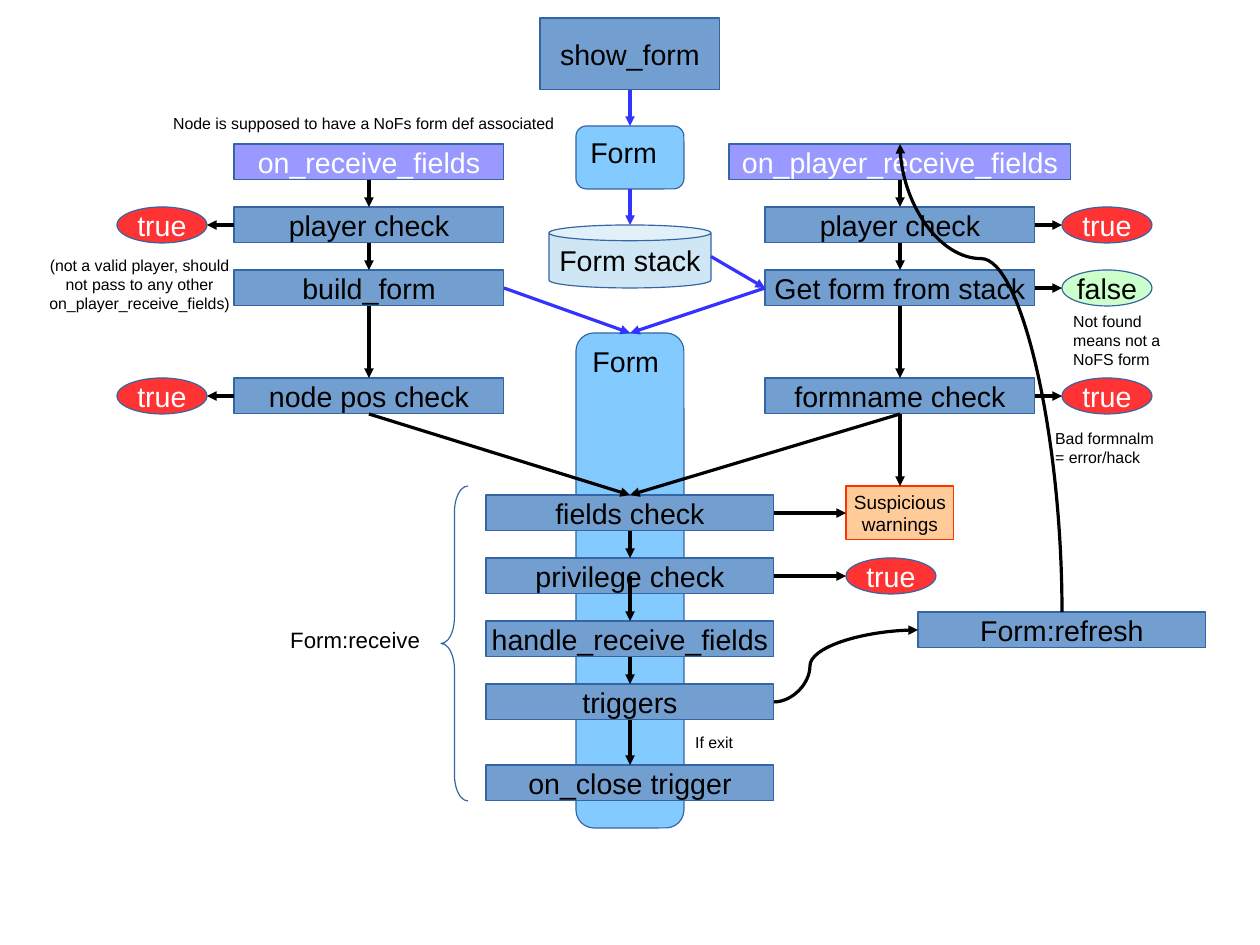
from lxml.etree import SubElement
from pptx import Presentation
from pptx.dml.color import RGBColor
from pptx.enum.shapes import MSO_CONNECTOR, MSO_SHAPE
from pptx.enum.text import MSO_ANCHOR, MSO_AUTO_SIZE, PP_ALIGN
from pptx.oxml.ns import qn
from pptx.util import Cm, Pt

BLACK, WHITE, BORDER, LINK = "000000", "FFFFFF", "3465A4", "3333FF"
LEFT, MIDDLE, RIGHT = 8.2, 14, 20  # column centres, all lengths in cm

# style: preset, width, height, fill, text colour, size
STYLES = {
    "step": (MSO_SHAPE.RECTANGLE, 6, 0.8, "729FCF", BLACK, 18),
    "wide step": (MSO_SHAPE.RECTANGLE, 6.4, 0.8, "729FCF", BLACK, 18),
    "start": (MSO_SHAPE.RECTANGLE, 4, 1.6, "729FCF", BLACK, 18),
    "event": (MSO_SHAPE.RECTANGLE, 6, 0.8, "9999FF", WHITE, 18),
    "wide event": (MSO_SHAPE.RECTANGLE, 7.6, 0.8, "9999FF", WHITE, 18),
    "true": (MSO_SHAPE.OVAL, 2, 0.8, "FF3333", WHITE, 18),
    "false": (MSO_SHAPE.OVAL, 2, 0.8, "CCFFCC", BLACK, 18),
    "form": (MSO_SHAPE.ROUNDED_RECTANGLE, 2.4, 1.4, "83CAFF", BLACK, 18),
    "long form": (MSO_SHAPE.ROUNDED_RECTANGLE, 2.4, 11, "83CAFF", BLACK, 18),
    "stack": (MSO_SHAPE.CAN, 3.6, 1.4, "CFE7F5", BLACK, 18),
    "warning": (MSO_SHAPE.RECTANGLE, 2.4, 1.2, "FFCC99", BLACK, 12),
}

# key: style, text, centre x, top
BOXES = {
    "long form": ("long form", "Form", MIDDLE, 7.4),
    "show": ("start", "show_form", MIDDLE, 0.4),
    "form": ("form", "Form", MIDDLE, 2.8),
    "stack": ("stack", "Form stack", MIDDLE, 5),
    "node event": ("event", "on_receive_fields", LEFT, 3.2),
    "node player": ("step", "player check", LEFT, 4.6),
    "build": ("step", "build_form", LEFT, 6),
    "node pos": ("step", "node pos check", LEFT, 8.4),
    "player event": ("wide event", "on_player_receive_fields", RIGHT, 3.2),
    "player": ("step", "player check", RIGHT, 4.6),
    "get form": ("step", "Get form from stack", RIGHT, 6),
    "formname": ("step", "formname check", RIGHT, 8.4),
    "fields": ("wide step", "fields check", MIDDLE, 11),
    "privilege": ("wide step", "privilege check", MIDDLE, 12.4),
    "handle": ("wide step", "handle_receive_fields", MIDDLE, 13.8),
    "triggers": ("wide step", "triggers", MIDDLE, 15.2),
    "on close": ("wide step", "on_close trigger", MIDDLE, 17),
    "refresh": ("wide step", "Form:refresh", 23.6, 13.6),
    "warnings": ("warning", "Suspicious\nwarnings", RIGHT, 10.8),
    "node player true": ("true", "true", 3.6, 4.6),
    "node pos true": ("true", "true", 3.6, 8.4),
    "player true": ("true", "true", 24.6, 4.6),
    "get form false": ("false", "false", 24.6, 6),
    "formname true": ("true", "true", 24.6, 8.4),
    "privilege true": ("true", "true", 19.8, 12.4),
}

# text, left, top, width, height, size, alignment
NOTES = [
    ("Node is supposed to have a NoFs form def associated", 3.6, 2.4, 9.14, 0.64, 10, PP_ALIGN.LEFT),
    ("(not a valid player, should not pass to any other on_player_receive_fields)",
     0.8, 5.56, 4.6, 1.42, 10, PP_ALIGN.CENTER),
    ("Not found means not a NoFS form", 23.6, 6.8, 2.8, 1.6, 10, PP_ALIGN.LEFT),
    ("Bad formnalm = error/hack", 23.2, 9.4, 2.8, 1.6, 10, PP_ALIGN.LEFT),
    ("If exit", 15.2, 16.16, 1.4, 0.64, 10, PP_ALIGN.LEFT),
    ("Form:receive", 6.2, 13.8, 3.4, 1.04, 14, PP_ALIGN.LEFT),
]

# from, side, to, side, colour
ARROWS = [
    ("show", "bottom", "form", "top", LINK),
    ("form", "bottom", "stack", "top", LINK),
    ("stack", "right", "get form", "left", LINK),
    ("get form", "left", "long form", "top", LINK),
    ("build", "right", "long form", "top", LINK),
    ("node event", "bottom", "node player", "top", BLACK),
    ("node player", "bottom", "build", "top", BLACK),
    ("build", "bottom", "node pos", "top", BLACK),
    ("node pos", "bottom", "fields", "top", BLACK),
    ("player event", "bottom", "player", "top", BLACK),
    ("player", "bottom", "get form", "top", BLACK),
    ("get form", "bottom", "formname", "top", BLACK),
    ("formname", "bottom", "fields", "top", BLACK),
    ("formname", "bottom", "warnings", "top", BLACK),
    ("fields", "bottom", "privilege", "top", BLACK),
    ("privilege", "middle", "handle", "top", BLACK),
    ("handle", "bottom", "triggers", "top", BLACK),
    ("triggers", "bottom", "on close", "top", BLACK),
    ("node player", "left", "node player true", "right", BLACK),
    ("node pos", "left", "node pos true", "right", BLACK),
    ("player", "right", "player true", "left", BLACK),
    ("get form", "right", "get form false", "left", BLACK),
    ("formname", "right", "formname true", "left", BLACK),
    ("fields", "right", "warnings", "left", BLACK),
    ("privilege", "right", "privilege true", "left", BLACK),
]

SIDES = {"left": (-0.5, 0.5), "right": (0.5, 0.5), "top": (0, 0), "bottom": (0, 1), "middle": (0, 0.5)}


def rgb(colour):
    return RGBColor.from_string(colour)


def anchor_point(key, side):
    style, _, centre, top = BOXES[key]
    _, width, height, *_ = STYLES[style]
    across, down = SIDES[side]
    return centre + across * width, top + down * height


def write(frame, text, size, colour, alignment):
    frame.text = text
    for paragraph in frame.paragraphs:
        paragraph.alignment = alignment
        paragraph.font.name = "Arial"
        paragraph.font.size = Pt(size)
        paragraph.font.color.rgb = rgb(colour)


def outline(shape, colour):
    shape.line.color.rgb = rgb(colour)
    shape.line.width = 0


def add_box(shapes, style, text, centre, top):
    preset, width, height, fill, colour, size = STYLES[style]
    box = shapes.add_shape(preset, Cm(centre - width / 2), Cm(top), Cm(width), Cm(height))
    box.shadow.inherit = False
    box.fill.solid()
    box.fill.fore_color.rgb = rgb(fill)
    outline(box, "FF3300" if style == "warning" else BORDER)
    is_form = preset == MSO_SHAPE.ROUNDED_RECTANGLE
    frame = box.text_frame
    frame.word_wrap = False
    frame.vertical_anchor = MSO_ANCHOR.TOP if is_form else MSO_ANCHOR.MIDDLE
    write(frame, text, size, colour, PP_ALIGN.LEFT if is_form else PP_ALIGN.CENTER)


def add_note(shapes, text, left, top, width, height, size, alignment):
    frame = shapes.add_textbox(Cm(left), Cm(top), Cm(width), Cm(height)).text_frame
    frame.word_wrap = True
    frame.auto_size = MSO_AUTO_SIZE.SHAPE_TO_FIT_TEXT
    write(frame, text, size, BLACK, alignment)


def add_arrow(shapes, start, end, colour=BLACK, bend=None):
    """Draw an arrow; bend is where a curved one turns, as a share of its length."""
    kind = MSO_CONNECTOR.STRAIGHT if bend is None else MSO_CONNECTOR.CURVE
    arrow = shapes.add_connector(kind, *(Cm(value) for value in start + end))
    outline(arrow, colour)
    properties = arrow._element.spPr
    SubElement(properties.find(qn("a:ln")), qn("a:tailEnd"), type="triangle")
    SubElement(properties, qn("a:effectLst"))
    if bend is not None:
        guides = properties.find(qn("a:prstGeom")).find(qn("a:avLst"))
        SubElement(guides, qn("a:gd"), name="adj1", fmla=f"val {round(bend * 100000)}")
    return arrow


def add_rising_arrow(shapes, start, end, bend):
    """Draw a curve that leaves and arrives vertically: a flat one turned by 270 degrees."""
    middle_x, middle_y = (start[0] + end[0]) / 2, (start[1] + end[1]) / 2
    half_rise, half_run = (start[1] - end[1]) / 2, (start[0] - end[0]) / 2
    arrow = add_arrow(shapes, (middle_x - half_rise, middle_y + half_run),
                      (middle_x + half_rise, middle_y - half_run), bend=bend)
    arrow._element.spPr.find(qn("a:xfrm")).set("rot", str(270 * 60000))


def main():
    deck = Presentation()
    deck.slide_width, deck.slide_height = Cm(28), Cm(21)
    shapes = deck.slides.add_slide(deck.slide_layouts[6]).shapes

    for box in BOXES.values():
        add_box(shapes, *box)
    for note in NOTES:
        add_note(shapes, *note)

    receive_brace = shapes.add_shape(MSO_SHAPE.LEFT_BRACE, Cm(9.8), Cm(10.8), Cm(0.6), Cm(7))
    receive_brace.shadow.inherit = False
    receive_brace.adjustments[0] = 0.97
    receive_brace.fill.background()
    outline(receive_brace, BORDER)

    for source, source_side, target, target_side, colour in ARROWS:
        add_arrow(shapes, anchor_point(source, source_side), anchor_point(target, target_side), colour)
    add_arrow(shapes, anchor_point("triggers", "right"), anchor_point("refresh", "left"), bend=0.25)
    add_rising_arrow(shapes, anchor_point("refresh", "top"), anchor_point("player event", "top"), 0.755)

    deck.save("out.pptx")


if __name__ == "__main__":
    main()
